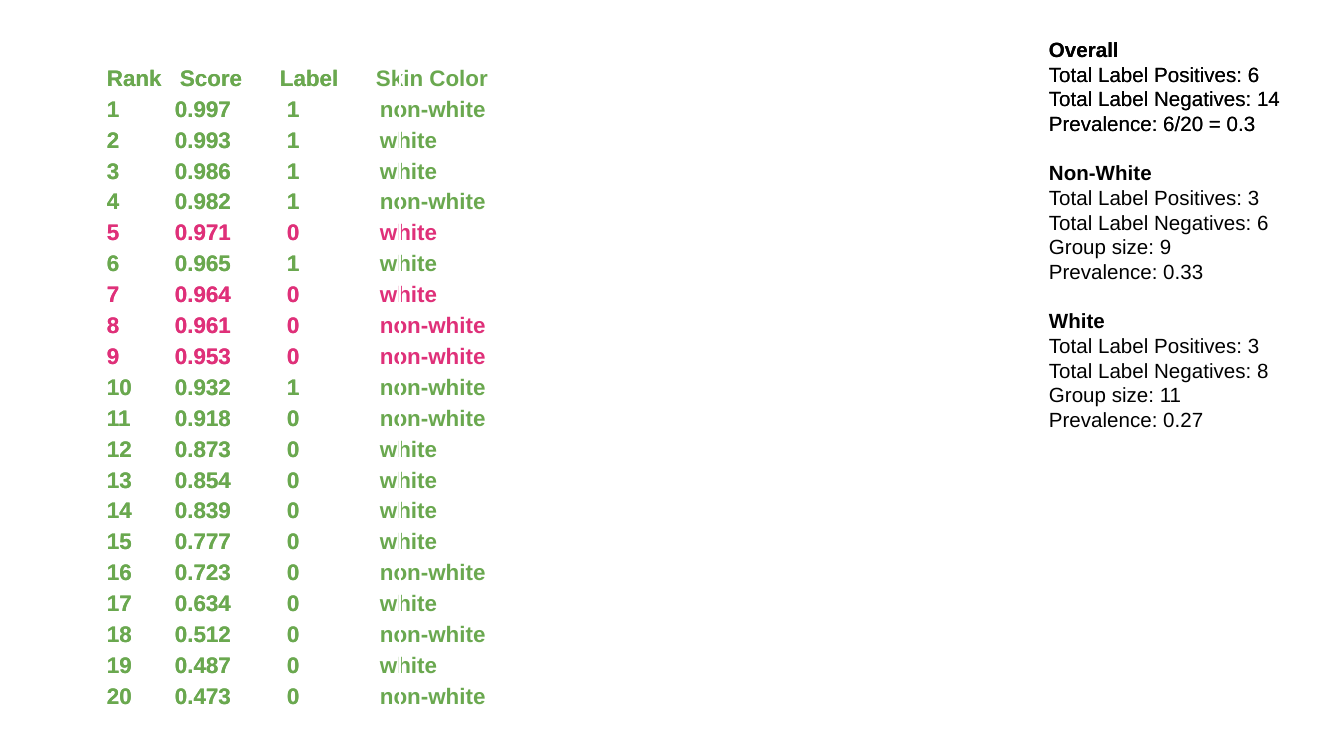
from lxml.etree import SubElement
from pptx import Presentation
from pptx.dml.color import RGBColor
from pptx.enum.shapes import MSO_SHAPE
from pptx.enum.text import MSO_ANCHOR, MSO_AUTO_SIZE, PP_ALIGN
from pptx.oxml.ns import qn
from pptx.util import Pt

EMU_PER_PX = 914400 / 134.4
INSET = 13

BLACK = RGBColor(0x00, 0x00, 0x00)
WHITE = RGBColor(0xFF, 0xFF, 0xFF)
GREEN = RGBColor(0x6A, 0xA8, 0x4F)
PINK = RGBColor(0xDF, 0x30, 0x79)

STATISTICS = [
    ("Overall", ["Total Label Positives: 6", "Total Label Negatives: 14",
                 "Prevalence: 6/20 = 0.3"]),
    ("Non-White", ["Total Label Positives: 3", "Total Label Negatives: 6",
                   "Group size: 9", "Prevalence: 0.33"]),
    ("White", ["Total Label Positives: 3", "Total Label Negatives: 8",
               "Group size: 11", "Prevalence: 0.27"]),
]

HEADINGS = ["Rank", "Score", "Label", "Skin Color"]
HEADING_STOPS = [73, 173, 269]
VALUE_STOPS = [68, 180, 273]
MISRANKED = {5, 7, 8, 9}
PREDICTIONS = [
    ("0.997", "1", "non-white"),
    ("0.993", "1", "white"),
    ("0.986", "1", "white"),
    ("0.982", "1", "non-white"),
    ("0.971", "0", "white"),
    ("0.965", "1", "white"),
    ("0.964", "0", "white"),
    ("0.961", "0", "non-white"),
    ("0.953", "0", "non-white"),
    ("0.932", "1", "non-white"),
    ("0.918", "0", "non-white"),
    ("0.873", "0", "white"),
    ("0.854", "0", "white"),
    ("0.839", "0", "white"),
    ("0.777", "0", "white"),
    ("0.723", "0", "non-white"),
    ("0.634", "0", "white"),
    ("0.512", "0", "non-white"),
    ("0.487", "0", "white"),
    ("0.473", "0", "non-white"),
]


def px(length):
    return round(length * EMU_PER_PX)


def prepare_frame(shape):
    frame = shape.text_frame
    frame.word_wrap = True
    frame.auto_size = MSO_AUTO_SIZE.SHAPE_TO_FIT_TEXT
    frame.vertical_anchor = MSO_ANCHOR.TOP
    frame.margin_left = frame.margin_right = px(INSET)
    frame.margin_top = frame.margin_bottom = px(INSET)
    return frame


def add_line(frame, text, size, color, bold):
    """Append a one-run paragraph, using the empty first one if it is free."""
    first = frame.paragraphs[0]
    paragraph = frame.add_paragraph() if first.runs else first
    paragraph.alignment = PP_ALIGN.LEFT
    run = paragraph.add_run()
    run.text = text
    run.font.name = "Arial"
    run.font.size = Pt(size)
    run.font.bold = bold
    run.font.color.rgb = color
    return paragraph


def set_tab_stops(paragraph, stops):
    tab_list = SubElement(paragraph._p.get_or_add_pPr(), qn("a:tabLst"))
    for stop in stops:
        SubElement(tab_list, qn("a:tab"), pos=str(px(stop)), algn="l")


def add_statistics(slide, left, top, width, height, groups):
    box = slide.shapes.add_textbox(px(left), px(top), px(width), px(height))
    frame = prepare_frame(box)
    for index, (title, facts) in enumerate(groups):
        heading = add_line(frame, title, 11, BLACK, True)
        if index:
            heading.space_before = Pt(13.2)
        for fact in facts:
            add_line(frame, fact, 11, BLACK, False)


def add_ranking(slide, left, top, width, height, column_count):
    """Outlined list of the first columns of the ranked predictions."""
    box = slide.shapes.add_shape(
        MSO_SHAPE.RECTANGLE, px(left), px(top), px(width), px(height))
    box.shadow.inherit = False
    box.fill.background()
    box.line.color.rgb = WHITE
    box.line.width = Pt(0.75)
    frame = prepare_frame(box)

    rows = [(HEADINGS, HEADING_STOPS, GREEN)]
    for rank, prediction in enumerate(PREDICTIONS, start=1):
        color = PINK if rank in MISRANKED else GREEN
        rows.append(([str(rank), *prediction], VALUE_STOPS, color))
    for cells, stops, color in rows:
        text = "\t".join(cells[:column_count])
        paragraph = add_line(frame, text, 12, color, True)
        paragraph.line_spacing = 1.15
        set_tab_stops(paragraph, stops[:column_count - 1])


def main():
    presentation = Presentation()
    presentation.slide_width = px(1344)
    presentation.slide_height = px(756)
    slide = presentation.slides.add_slide(presentation.slide_layouts[6])

    add_statistics(slide, 1036, 24, 296, 425, STATISTICS)
    add_ranking(slide, 94, 47, 538, 679, column_count=4)
    add_ranking(slide, 94, 47, 306, 683, column_count=3)
    add_statistics(slide, 1036, 24, 296, 126, STATISTICS[:1])

    presentation.save("out.pptx")


if __name__ == "__main__":
    main()
